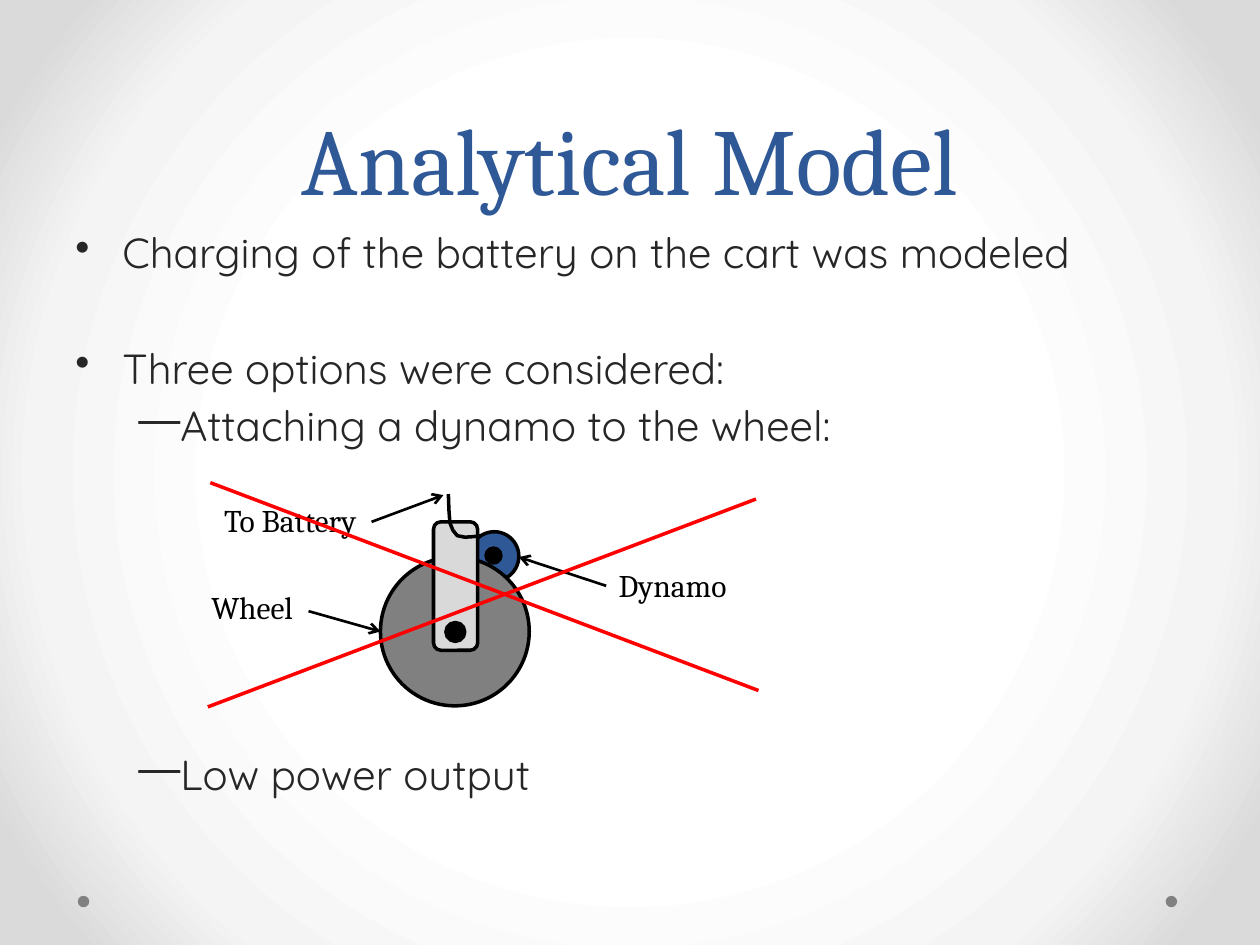
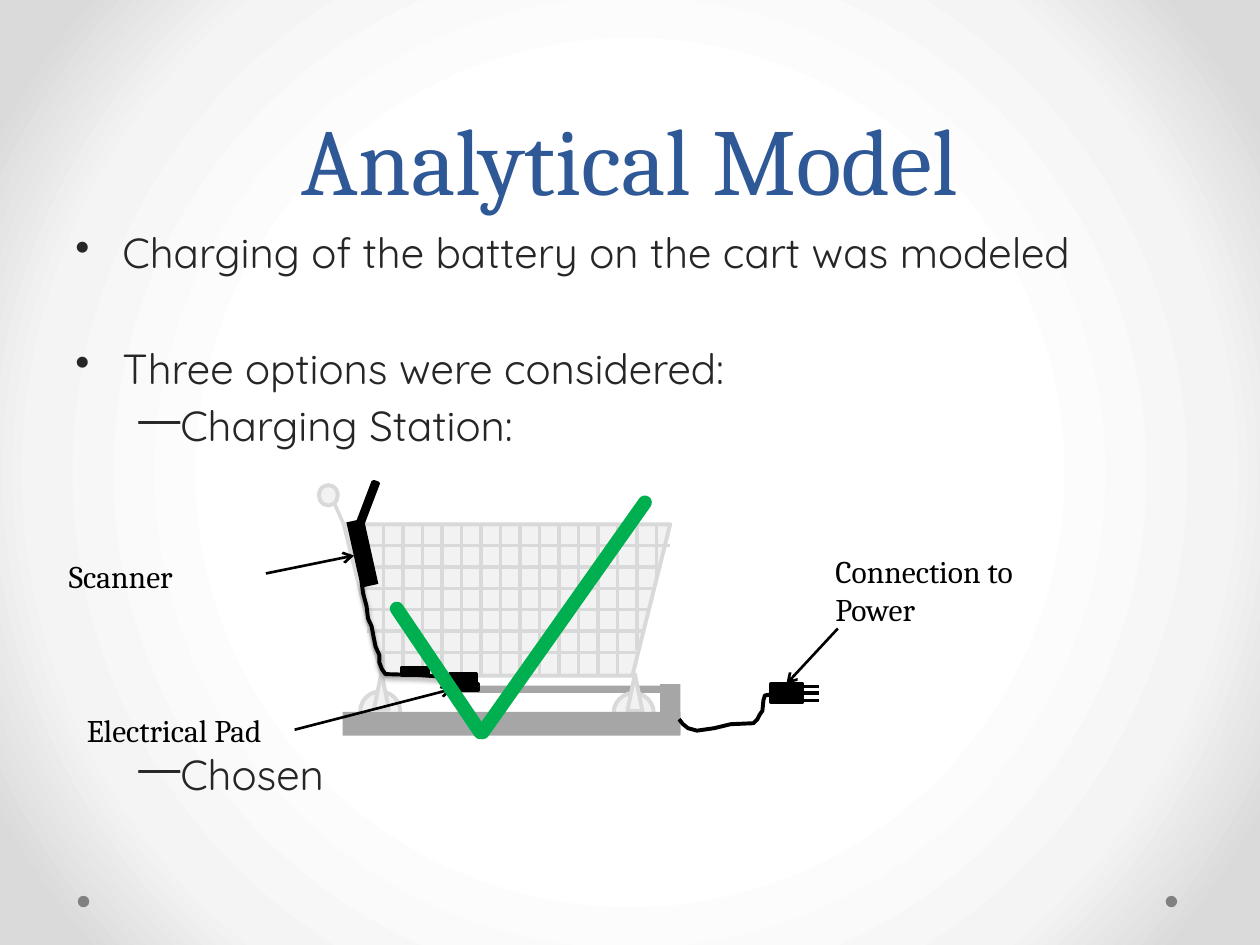
"""Build two slides on the options for charging a cart battery."""
from dataclasses import dataclass

from pptx import Presentation, oxml, util as u
from pptx.dml import color
from pptx.enum import shapes, text
from pptx.oxml import ns

COLORS = {
    "title": "2F5897", "body": "262626", "black": "000000", "white": "FFFFFF",
    "haze": "F4F4F4", "edge": "DADADA", "dot": "808080", "tire": "808080",
    "fork": "D9D9D9", "cart": "F2F2F2", "wire": "D9D9D9", "station": "A6A6A6",
    "reject": "FF0000", "accept": "00B050",
}
HEAD, BODY = "Cambria", "Quicksand"
SHAPE = shapes.MSO_SHAPE
OVAL, RECT = SHAPE.OVAL, SHAPE.RECTANGLE


@dataclass
class Part:
    x: float
    y: float
    w: float
    h: float
    kind: int = OVAL
    fill: str = "black"
    line: str | None = "black"
    width: float = 2
    turn: float = 0


@dataclass
class Line:
    x1: float
    y1: float
    x2: float
    y2: float
    ink: str = "black"
    width: float = 2
    arrow: bool = False
    round_cap: bool = False


@dataclass
class Cord:
    points: list[tuple[float, float]]
    width: float = 2.25
    shadow: bool = False


@dataclass
class Label:
    x: float
    y: float
    words: str
    h: float = 1.02


@dataclass
class Bullet:
    words: str
    before: float = 0
    mark: str = "•"
    margin: float = 0.95
    hang: float = 0.95


def rgb(name: str) -> color.RGBColor:
    return color.RGBColor.from_string(COLORS[name])


def xml(tag: str, attrs: str = "", inner: str = ""):
    return oxml.parse_xml(f'<a:{tag} {ns.nsdecls("a")} {attrs}>{inner}</a:{tag}>')


def tint(name: str, extra: str = "") -> str:
    return f'<a:srgbClr val="{COLORS[name]}">{extra}</a:srgbClr>'


def box(s, x: float, y: float, w: float, h: float):
    tf = s.shapes.add_textbox(*map(u.Cm, (x, y, w, h))).text_frame
    tf.word_wrap = True
    return tf


def write(p, words: str, *, size: float = 18, font: str = HEAD, ink: str = "black",
          align=None, before: float = 0, spacing: float | None = None) -> None:
    r = p.add_run()
    r.text = words
    r.font.size, r.font.name = u.Pt(size), font
    r.font.color.rgb = rgb(ink)
    p.alignment = align
    if before:
        p.space_before = u.Pt(before)
    if spacing:
        p.line_spacing = u.Pt(spacing)


def draw_part(s, part: Part) -> None:
    sp = s.shapes.add_shape(part.kind, *map(u.Cm, (part.x, part.y, part.w, part.h)))
    sp.shadow.inherit = False
    sp.rotation = part.turn
    sp.fill.solid()
    sp.fill.fore_color.rgb = rgb(part.fill)
    if part.line:
        sp.line.color.rgb = rgb(part.line)
        sp.line.width = u.Pt(part.width)
    else:
        sp.line.fill.background()


def draw_line(s, line: Line) -> None:
    c = s.shapes.add_connector(shapes.MSO_CONNECTOR.STRAIGHT,
                               *map(u.Cm, (line.x1, line.y1, line.x2, line.y2)))
    c.line.color.rgb = rgb(line.ink)
    c.line.width = u.Pt(line.width)
    ln = c.line._get_or_add_ln()
    if line.round_cap:
        ln.set("cap", "rnd")
    if line.arrow:
        ln.append(xml("tailEnd", 'type="arrow"'))
    c.element.spPr.append(xml("effectLst"))


def draw_cord(s, cord: Cord) -> None:
    start, *rest = [(u.Cm(x), u.Cm(y)) for x, y in cord.points]
    pen = s.shapes.build_freeform(*start)
    pen.add_line_segments(rest, close=False)
    sp = pen.convert_to_shape()
    sp.shadow.inherit = False
    sp.fill.background()
    sp.line.color.rgb = rgb("black")
    sp.line.width = u.Pt(cord.width)
    if cord.shadow:
        effects = sp.element.spPr.find(ns.qn("a:effectLst"))
        effects.append(xml("outerShdw",
                           f'blurRad="{u.Pt(3.1)}" dist="{u.Pt(1.6)}" dir="5400000" rotWithShape="0"',
                           tint("black", '<a:alpha val="38000"/>')))


def draw_label(s, label: Label) -> None:
    tf = box(s, label.x, label.y, 4.8, label.h)
    write(tf.paragraphs[0], label.words)


DRAW = {Part: draw_part, Line: draw_line, Cord: draw_cord, Label: draw_label}


def pointer(x1: float, y1: float, x2: float, y2: float) -> Line:
    return Line(x1, y1, x2, y2, width=1.5, arrow=True)


def cart_part(x: float, y: float, w: float, h: float, kind: int = OVAL, turn: float = 0) -> Part:
    return Part(x, y, w, h, kind, "cart", "wire", 2.25, turn)


def black_bar(x: float, y: float, w: float, h: float, turn: float = 0) -> Part:
    return Part(x, y, w, h, RECT, width=2.25, turn=turn)


def station_part(x: float, y: float, w: float, h: float) -> Part:
    return Part(x, y, w, h, RECT, "station", None)


def basket_grid() -> list[Line]:
    left, right, top = 7.34, 13.23, 10.57
    bottoms = [12.19] + [13.61] * 13 + [13.11, 11.63]
    gap = (right - left) / (len(bottoms) - 1)
    bars = [Line(left + gap * i, bottom, left + gap * i, top, "wire")
            for i, bottom in enumerate(bottoms)]
    spans = [(7.06, 13.51), (7.11, 13.23), (7.34, 13.23),
             (7.37, 13.11), (7.39, 12.98), (7.62, 12.83)]
    rows = [Line(x1, 11 + 0.43 * i, x2, 11 + 0.43 * i, "wire")
            for i, (x1, x2) in enumerate(spans)]
    return bars + rows


DYNAMO = [
    Part(9.47, 10.72, 0.99, 0.99, fill="title"),
    Part(7.67, 11.23, 3, 3, fill="tire"),
    Part(8.74, 10.52, 0.89, 2.59, SHAPE.ROUNDED_RECTANGLE, "fork"),
    Part(8.99, 12.55, 0.38, 0.38),
    Part(9.8, 11.05, 0.3, 0.3),
    Label(12.22, 11.28, "Dynamo"),
    pointer(12.22, 11.81, 10.46, 11.23),
    Label(4.01, 11.73, "Wheel"),
    pointer(6.22, 12.32, 7.67, 12.73),
    Cord([(9.7, 10.8), (9.53, 10.82), (9.37, 10.83), (9.22, 10.8), (9.13, 10.69),
          (9.07, 10.54), (9.05, 10.27), (9.04, 9.96)], width=2),
    Label(4.27, 9.98, "To Battery"),
    pointer(7.49, 10.52, 8.94, 9.98),
    Line(4.24, 9.73, 15.29, 13.92, "reject"),
    Line(15.24, 10.06, 4.19, 14.25, "reject"),
]

STATION = [
    station_part(9.12, 13.82, 4.55, 0.15),
    black_bar(9.12, 13.79, 0.51, 0.13),
    cart_part(7.26, 13.94, 0.81, 0.81),
    cart_part(6.93, 10.57, 6.58, 3.05, SHAPE.TRAPEZOID, 180),
    *basket_grid(),
    Line(6.93, 10.57, 6.71, 10.08, "wire"),
    cart_part(6.43, 9.78, 0.38, 0.41),
    cart_part(7.54, 13.56, 0.3, 0.74, SHAPE.ISOSCELES_TRIANGLE),
    cart_part(12.37, 13.97, 0.81, 0.81),
    cart_part(12.65, 13.59, 0.3, 0.74, SHAPE.ISOSCELES_TRIANGLE),
    Part(6.63, 10.97, 1.35, 0.36, RECT, line=None, turn=257.4),
    black_bar(8.1, 13.46, 0.53, 0.15),
    black_bar(9.07, 13.59, 0.53, 0.15),
    Cord([(9.12, 13.61), (8.86, 13.64), (8.46, 13.61), (7.77, 13.59), (7.7, 13.49),
          (7.65, 13.36), (7.65, 13.21), (7.57, 13.03), (7.54, 12.88), (7.49, 12.62),
          (7.42, 12.47), (7.39, 12.22), (7.32, 11.96), (7.29, 11.73)], shadow=True),
    black_bar(6.99, 10.08, 0.86, 0.1, 290.8),
    station_part(6.91, 14.35, 6.81, 0.48),
    station_part(13.31, 13.79, 0.41, 1.02),
    Cord([(13.69, 14.5), (13.77, 14.6), (13.87, 14.68), (14.05, 14.73), (14.4, 14.68),
          (14.73, 14.6), (15.19, 14.58), (15.27, 14.5), (15.32, 14.4), (15.37, 14.33),
          (15.39, 14.12), (15.42, 14.02), (15.54, 14)]),
    black_bar(15.54, 13.79, 0.64, 0.36),
    *[Line(16.18, y, 16.51, y) for y in (13.84, 13.97, 14.12)],
    Label(16.59, 11, "Connection to Power", 1.8),
    pointer(16.89, 12.67, 15.85, 13.79),
    Label(1.5, 14.2, "Electrical Pad"),
    pointer(5.94, 14.71, 9.12, 13.89),
    Label(1.14, 11.1, "Scanner"),
    pointer(5.36, 11.56, 7.14, 11.2),
    Line(8, 12.27, 9.68, 14.76, "accept", 8, round_cap=True),
    Line(9.73, 14.76, 13, 10.13, "accept", 8, round_cap=True),
]


def set_background(prs) -> None:
    fill = prs.slide_master.background.fill
    fill.solid()
    bg = prs.slide_master.element.find(f'.//{ns.qn("p:bgPr")}')
    stops = "".join(f'<a:gs pos="{pos}000">{tint(name)}</a:gs>'
                    for pos, name in ((50, "white"), (76, "haze"), (92, "edge")))
    center = '<a:fillToRect l="50000" t="50000" r="50000" b="50000"/>'
    bg.replace(bg[0], xml("gradFill", 'rotWithShape="1"',
                          f'<a:gsLst>{stops}</a:gsLst><a:path path="circle">{center}</a:path>'))


def add_bullets(s, bullets: list[Bullet]) -> None:
    tf = box(s, 1.27, 4.45, 22.86, 12.57)
    for i, b in enumerate(bullets):
        p = tf.add_paragraph() if i else tf.paragraphs[0]
        pr = p._p.get_or_add_pPr()
        pr.set("marL", str(u.Cm(b.margin)))
        pr.set("indent", str(-u.Cm(b.hang)))
        pr.append(xml("buChar", f'char="{b.mark}"'))
        write(p, b.words, size=24, font=BODY, ink="body", before=b.before)


def add_option(prs, option: str, verdict: str, drawing: list) -> None:
    s = prs.slides.add_slide(prs.slide_layouts[6])
    for x in (23.5, 1.57):
        draw_part(s, Part(x, 18.06, 0.23, 0.23, fill="dot", line=None))
    tf = box(s, 1.27, 0, 22.86, 4.45)
    tf.vertical_anchor = text.MSO_ANCHOR.BOTTOM
    write(tf.paragraphs[0], "Analytical Model", size=54, ink="title",
          align=text.PP_ALIGN.CENTER, spacing=58)
    add_bullets(s, [
        Bullet("Charging of the battery on the cart was modeled"),
        Bullet("Three options were considered:", 37.4),
        Bullet(option, 3.7, "―", 2.06, 0.79),
        Bullet(verdict, 170.6, "―", 2.06, 0.79),
    ])
    for item in drawing:
        DRAW[type(item)](s, item)


def main() -> None:
    prs = Presentation()
    prs.slide_width, prs.slide_height = u.Cm(25.4), u.Cm(19.05)
    set_background(prs)
    add_option(prs, "Attaching a dynamo to the wheel:", "Low power output", DYNAMO)
    add_option(prs, "Charging Station:", "Chosen", STATION)
    prs.save("out.pptx")


if __name__ == "__main__":
    main()
